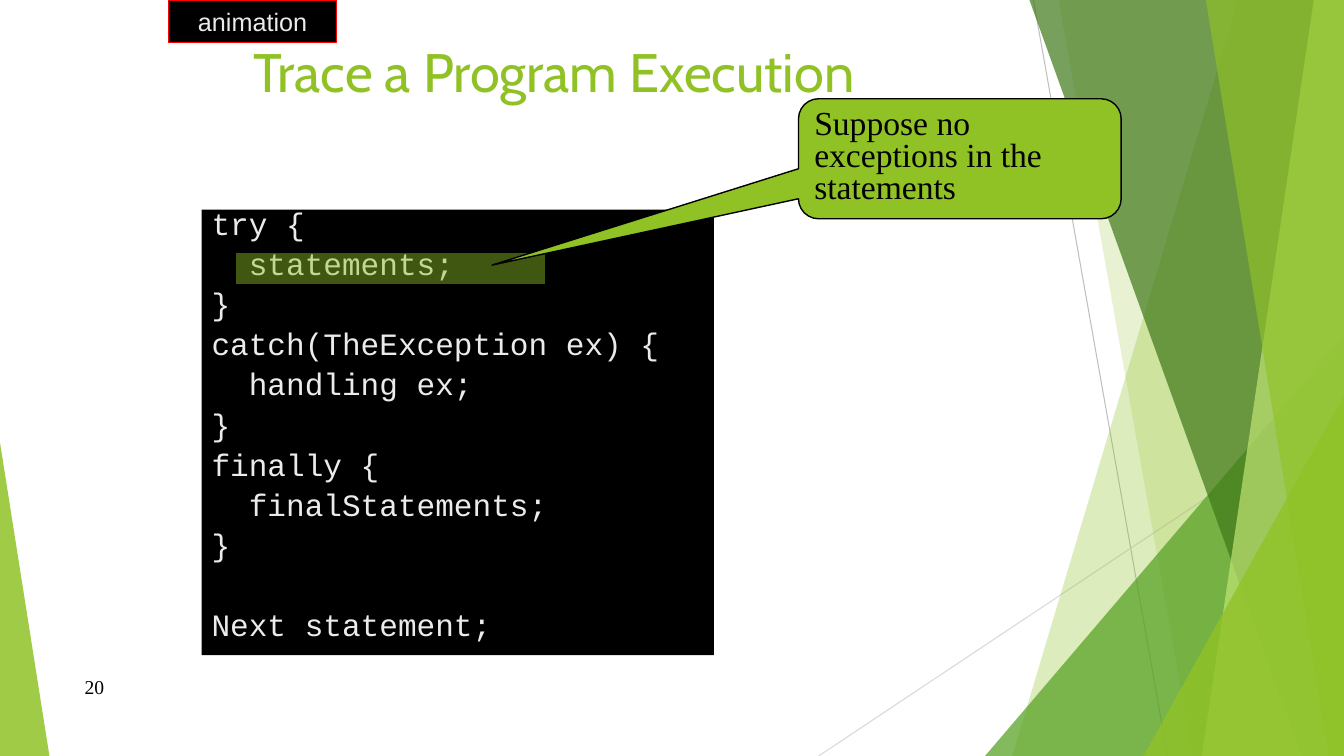
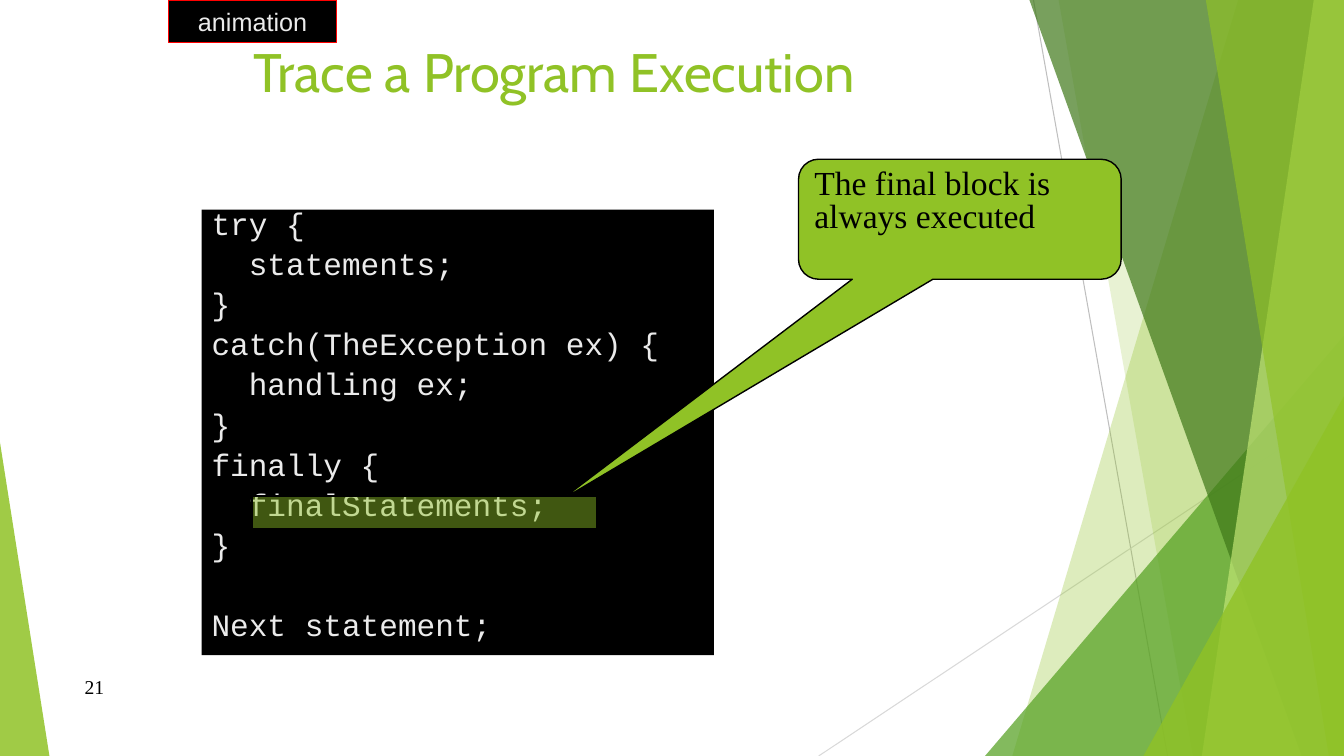
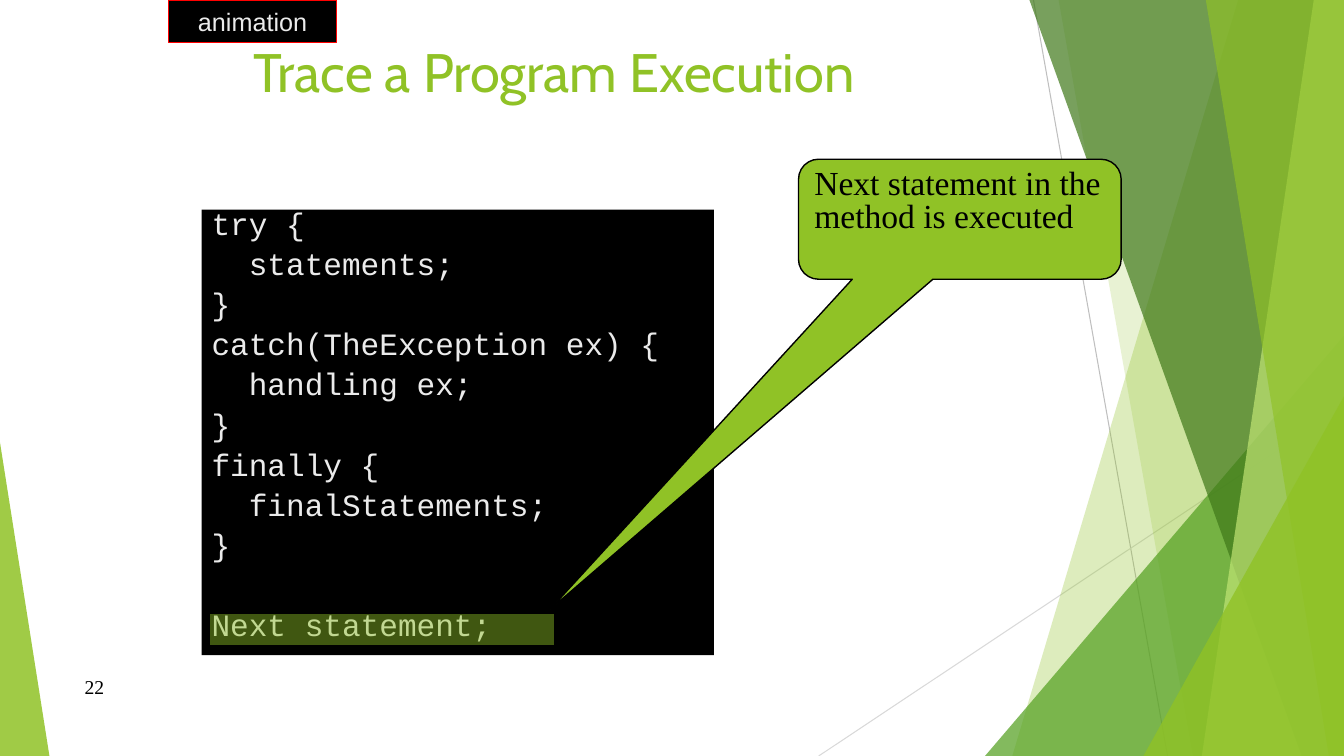
from pptx import Presentation
from pptx.dml.color import RGBColor
from pptx.enum.shapes import MSO_CONNECTOR, MSO_SHAPE as SHAPE
from pptx.enum.text import MSO_ANCHOR as ANCHOR, PP_ALIGN as ALIGN
from pptx.oxml.ns import qn
from pptx.util import Inches, Pt
from lxml.etree import SubElement

WIDTH, HEIGHT = 13.33, 7.5
GREEN, BLACK, PALE = "90C226", "000000", "EBEBEB"

TITLE = {"name": "Cabin", "size": Pt(38.7), "color": GREEN}
TAG = {"name": "Arial", "size": Pt(18), "color": PALE}
CODE = {"name": "Courier New", "size": Pt(22.2), "color": PALE}
NOTE = {"name": "Times New Roman", "size": Pt(24), "color": BLACK}
NUMBER = {**NOTE, "size": Pt(14)}

CODE_BLOCKS = [
    ["try {", "  statements;", "}", "catch(TheException ex) {", "  handling ex;",
     "}", "finally {", "  finalStatements;", "}"],
    ["Next statement;"],
]

# start, end, colour
THIN_LINES = [
    ((10.25, 0), (11.58, HEIGHT), "BFBFBF"),
    ((WIDTH, 4.03), (8.12, HEIGHT), "D9D9D9"),
]
# Bands reach the right edge: left x at the top, left x at the bottom, colour, opacity
BACK_BANDS = [(12.28, 10.04, GREEN, 30), (10.5, 11.83, GREEN, 20)]
FRONT_BANDS = [
    (10.21, 12.91, "3F7819", 70),
    (13.03, 11.92, "C0E474", 70),
    (11.96, 13.18, GREEN, 65),
]


def rgb(color):
    return RGBColor.from_string(color)


def paint(sp, fill, opacity=100, line=None):
    sp.shadow.inherit = False
    sp.fill.solid()
    sp.fill.fore_color.rgb = rgb(fill)
    if opacity < 100:
        clr = sp.element.spPr.find(qn("a:solidFill")).find(qn("a:srgbClr"))
        SubElement(clr, qn("a:alpha"), val=str(opacity * 1000))
    if line:
        sp.line.color.rgb = rgb(line)
        sp.line.width = Pt(1)
    else:
        sp.line.fill.background()


def add_shape(s, kind, box, fill, opacity=100, line=None):
    sp = s.shapes.add_shape(kind, *map(Inches, box))
    paint(sp, fill, opacity, line)
    return sp


def add_text(p, text, style):
    r = p.add_run()
    r.text = text
    for key, value in style.items():
        if key == "color":
            r.font.color.rgb = rgb(value)
        else:
            setattr(r.font, key, value)


def write(sp, text, style, anchor=ANCHOR.TOP, align=ALIGN.LEFT, spacing=None, wrap=True):
    tf = sp.text_frame
    tf.word_wrap, tf.vertical_anchor = wrap, anchor
    p = tf.paragraphs[0]
    p.alignment, p.line_spacing = align, spacing
    add_text(p, text, style)


def add_label(s, box, text, style, anchor=ANCHOR.TOP):
    write(s.shapes.add_textbox(*map(Inches, box)), text, style, anchor)


def add_thin_line(s, start, end, color):
    c = s.shapes.add_connector(MSO_CONNECTOR.STRAIGHT, *map(Inches, start + end))
    c.line.color.rgb = rgb(color)
    c.line.width = Pt(0.75)
    SubElement(c.element.spPr, qn("a:effectLst"))


def add_band(s, top_x, bottom_x, color, opacity):
    fb = s.shapes.build_freeform(Inches(top_x), 0)
    corners = [(WIDTH, 0), (WIDTH, HEIGHT), (bottom_x, HEIGHT)]
    fb.add_line_segments([(Inches(x), Inches(y)) for x, y in corners])
    paint(fb.convert_to_shape(), color, opacity)


def add_corner(s, left, top, width, apex, color, opacity):
    """Triangle standing on the bottom edge; apex is 0 (left) or 1 (right)."""
    box = (left, top, width, HEIGHT - top)
    sp = add_shape(s, SHAPE.ISOSCELES_TRIANGLE, box, color, opacity)
    sp.adjustments[0] = apex


def add_backdrop(s):
    for line in THIN_LINES:
        add_thin_line(s, *line)
    for band in BACK_BANDS:
        add_band(s, *band)
    add_corner(s, 9.77, 3.33, 3.56, 1, "54A021", 72)
    for band in FRONT_BANDS:
        add_band(s, *band)
    add_corner(s, 11.34, 3.93, 1.99, 1, GREEN, 80)
    add_corner(s, 0, 4.39, 0.49, 0, GREEN, 85)


def add_code(s):
    sp = add_shape(s, SHAPE.RECTANGLE, (2, 2.08, 5.08, 4.42), BLACK)
    tf = sp.text_frame
    tf.word_wrap, tf.vertical_anchor = True, ANCHOR.TOP
    for b, block in enumerate(CODE_BLOCKS):
        for i, text in enumerate(block):
            first = b == i == 0
            p = tf.paragraphs[0] if first else tf.add_paragraph()
            p.alignment, p.line_spacing = ALIGN.LEFT, 0.7
            if not first:
                p.space_before = Pt(10 if i else 38.6)
            add_text(p, text, CODE)


def add_highlight(s, left, top, width):
    add_shape(s, SHAPE.RECTANGLE, (left, top, width, 0.33), GREEN, 45, BLACK)


def add_callout(s, top, tip, text):
    left, width, height = 7.92, 3.2, 1.19
    sp = add_shape(s, SHAPE.ROUNDED_RECTANGULAR_CALLOUT,
                   (left, top, width, height), GREEN, line=BLACK)
    sp.adjustments[0] = (tip[0] - left) / width - 0.5
    sp.adjustments[1] = (tip[1] - top) / height - 0.5
    write(sp, text, NOTE, spacing=0.8)


# The marks of each step, from back to front
STEPS = [
    [(add_highlight, 2.33, 2.5, 3.08),
     (add_callout, 0.98, (4.88, 2.63), "Suppose no exceptions in the statements")],
    [(add_callout, 1.58, (5.55, 4.97), "The final block is always executed"),
     (add_highlight, 2.5, 4.92, 3.42)],
    [(add_callout, 1.58, (5.45, 6.05), "Next statement in the method is executed"),
     (add_highlight, 2.08, 6.08, 3.42)],
]


def add_step(prs, number, marks):
    s = prs.slides.add_slide(prs.slide_layouts[6])
    add_backdrop(s)
    add_label(s, (0.74, 6.61, 6.89, 0.4), str(number), NUMBER, ANCHOR.MIDDLE)
    add_label(s, (2.42, 0.33, 8.5, 0.58), "Trace a Program Execution", TITLE)
    tag = add_shape(s, SHAPE.RECTANGLE, (1.67, 0, 1.67, 0.42), BLACK, line="FF0000")
    write(tag, "animation", TAG, ANCHOR.MIDDLE, ALIGN.CENTER, wrap=False)
    add_code(s)
    for add_mark, *args in marks:
        add_mark(s, *args)


def main():
    prs = Presentation()
    prs.slide_width, prs.slide_height = Inches(WIDTH), Inches(HEIGHT)
    for number, marks in enumerate(STEPS, 20):
        add_step(prs, number, marks)
    prs.save("out.pptx")


if __name__ == "__main__":
    main()
